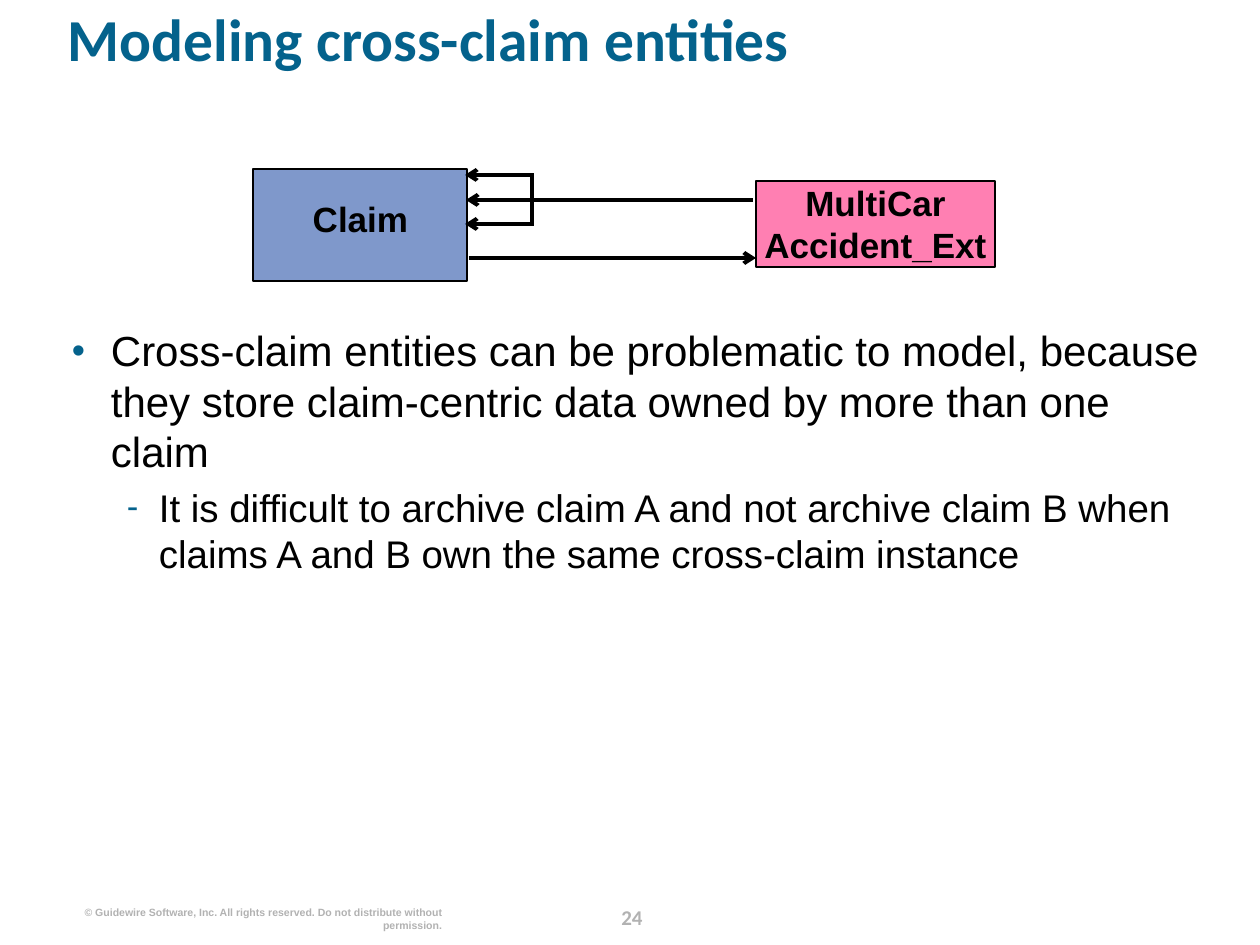
from dataclasses import dataclass

from lxml import etree
from pptx import Presentation
from pptx.dml.color import RGBColor
from pptx.enum.shapes import MSO_CONNECTOR, MSO_SHAPE
from pptx.enum.text import MSO_ANCHOR, PP_ALIGN
from pptx.oxml.ns import qn
from pptx.util import Pt

LEFT, CENTER, RIGHT = PP_ALIGN.LEFT, PP_ALIGN.CENTER, PP_ALIGN.RIGHT
TOP, MIDDLE = MSO_ANCHOR.TOP, MSO_ANCHOR.MIDDLE
RECTANGLE = MSO_SHAPE.RECTANGLE
STRAIGHT = MSO_CONNECTOR.STRAIGHT

PX_PER_INCH = 126
BLACK, TEAL, GREY = "000000", "04628C", "B2B2B2"


@dataclass
class Box:
    left: int
    top: int
    width: int
    height: int


@dataclass
class Label:
    text: str
    box: Box
    size: int
    color: str = BLACK
    font: str = "Arial"
    align: PP_ALIGN = LEFT
    line_spacing: float | Pt = 1.0


@dataclass
class Entity:
    box: Box
    fill: str


@dataclass
class Link:
    start: tuple[int, int]
    end: tuple[int, int]
    arrow: bool = True


@dataclass
class Bullet:
    text: str
    mark: str
    size: int
    margin: int
    hanging: int
    space_before: float


CLAIM = Entity(Box(253, 169, 214, 112), "003399")
ACCIDENT = Entity(Box(756, 181, 239, 86), "FF0066")

LABELS = [
    Label("24", Box(596, 898, 72, 32), 12, GREY, "Calibri", CENTER, Pt(18)),
    Label("© Guidewire Software, Inc. All rights reserved. Do not distribute without permission.",
          Box(77, 906, 365, 13), 6, GREY, align=RIGHT),
    Label("Modeling cross-claim entities", Box(68, 16, 1147, 102), 34, TEAL, "Calibri",
          line_spacing=0.8),
]
CLAIM_LABEL = Label("Claim", Box(286, 197, 149, 42), 20, align=CENTER)
ACCIDENT_LABEL = Label("MultiCar\vAccident_Ext", ACCIDENT.box, 20, align=CENTER)

LINKS = [
    Link((753, 200), (466, 200)),
    Link((534, 175), (465, 175)),
    Link((534, 224), (465, 224)),
    Link((532, 226), (532, 173), arrow=False),
    Link((469, 258), (756, 258)),
]

BODY = Box(72, 325, 1147, 556)
BULLETS = [
    Bullet("Cross-claim entities can be problematic to model, because they store "
           "claim-centric data owned by more than one claim", "•", 24, 39, 39, 0),
    Bullet("It is difficult to archive claim A and not archive claim B when claims A and B "
           "own the same cross-claim instance", "-", 22, 87, 32, 4.4),
]


def emu(px: int) -> int:
    return round(px * 914400 / PX_PER_INCH)


def place(box: Box) -> tuple[int, ...]:
    return tuple(emu(px) for px in (box.left, box.top, box.width, box.height))


def rgb(color: str) -> RGBColor:
    return RGBColor.from_string(color)


def prepare_frame(text_frame, anchor: MSO_ANCHOR) -> None:
    """Turn on wrapping and remove the insets."""
    text_frame.word_wrap = True
    text_frame.vertical_anchor = anchor
    text_frame.margin_left = text_frame.margin_right = 0
    text_frame.margin_top = text_frame.margin_bottom = 0


def style_runs(paragraph, size: int, color: str, font: str = "Arial", bold: bool = False) -> None:
    for run in paragraph.runs:
        run.font.size = Pt(size)
        run.font.name = font
        run.font.bold = bold
        run.font.color.rgb = rgb(color)


def fill_label(shape, label: Label, anchor: MSO_ANCHOR = TOP) -> None:
    prepare_frame(shape.text_frame, anchor)
    paragraph = shape.text_frame.paragraphs[0]
    paragraph.text = label.text
    paragraph.alignment = label.align
    paragraph.line_spacing = label.line_spacing
    style_runs(paragraph, label.size, label.color, label.font, bold=True)


def add_label(slide, label: Label) -> None:
    fill_label(slide.shapes.add_textbox(*place(label.box)), label)


def add_entity(slide, entity: Entity):
    """Add a half-transparent rectangle with a thin black outline."""
    shape = slide.shapes.add_shape(RECTANGLE, *place(entity.box))
    shape.shadow.inherit = False
    shape.fill.solid()
    shape.fill.fore_color.rgb = rgb(entity.fill)
    color = shape._element.spPr.find(qn("a:solidFill"))[0]
    etree.SubElement(color, qn("a:alpha"), val="50000")
    shape.line.color.rgb = rgb(BLACK)
    shape.line.width = Pt(1)
    return shape


def add_link(slide, link: Link) -> None:
    points = [emu(px) for px in (*link.start, *link.end)]
    connector = slide.shapes.add_connector(STRAIGHT, *points)
    connector.line.color.rgb = rgb(BLACK)
    connector.line.width = Pt(2.25)
    properties = connector._element.spPr
    if link.arrow:
        etree.SubElement(properties.find(qn("a:ln")), qn("a:tailEnd"), type="arrow")
    etree.SubElement(properties, qn("a:effectLst"))


def add_bullets(slide, box: Box, bullets: list[Bullet]) -> None:
    text_frame = slide.shapes.add_textbox(*place(box)).text_frame
    prepare_frame(text_frame, TOP)
    for level, bullet in enumerate(bullets):
        paragraph = text_frame.add_paragraph() if level else text_frame.paragraphs[0]
        paragraph.text = bullet.text
        paragraph.level = level
        paragraph.space_before = Pt(bullet.space_before)
        properties = paragraph._p.get_or_add_pPr()
        properties.set("marL", str(emu(bullet.margin)))
        properties.set("indent", str(-emu(bullet.hanging)))
        color = etree.SubElement(properties, qn("a:buClr"))
        etree.SubElement(color, qn("a:srgbClr"), val=TEAL)
        etree.SubElement(properties, qn("a:buSzPct"), val="90000")
        etree.SubElement(properties, qn("a:buFont"), typeface="Arial")
        etree.SubElement(properties, qn("a:buChar"), char=bullet.mark)
        style_runs(paragraph, bullet.size, BLACK)


def main() -> None:
    presentation = Presentation()
    presentation.slide_width = emu(1260)
    presentation.slide_height = emu(945)
    slide = presentation.slides.add_slide(presentation.slide_layouts[6])
    for label in LABELS:
        add_label(slide, label)
    add_bullets(slide, BODY, BULLETS)
    fill_label(add_entity(slide, ACCIDENT), ACCIDENT_LABEL, MIDDLE)
    for link in LINKS:
        add_link(slide, link)
    add_entity(slide, CLAIM)
    add_label(slide, CLAIM_LABEL)
    presentation.save("out.pptx")


if __name__ == "__main__":
    main()
